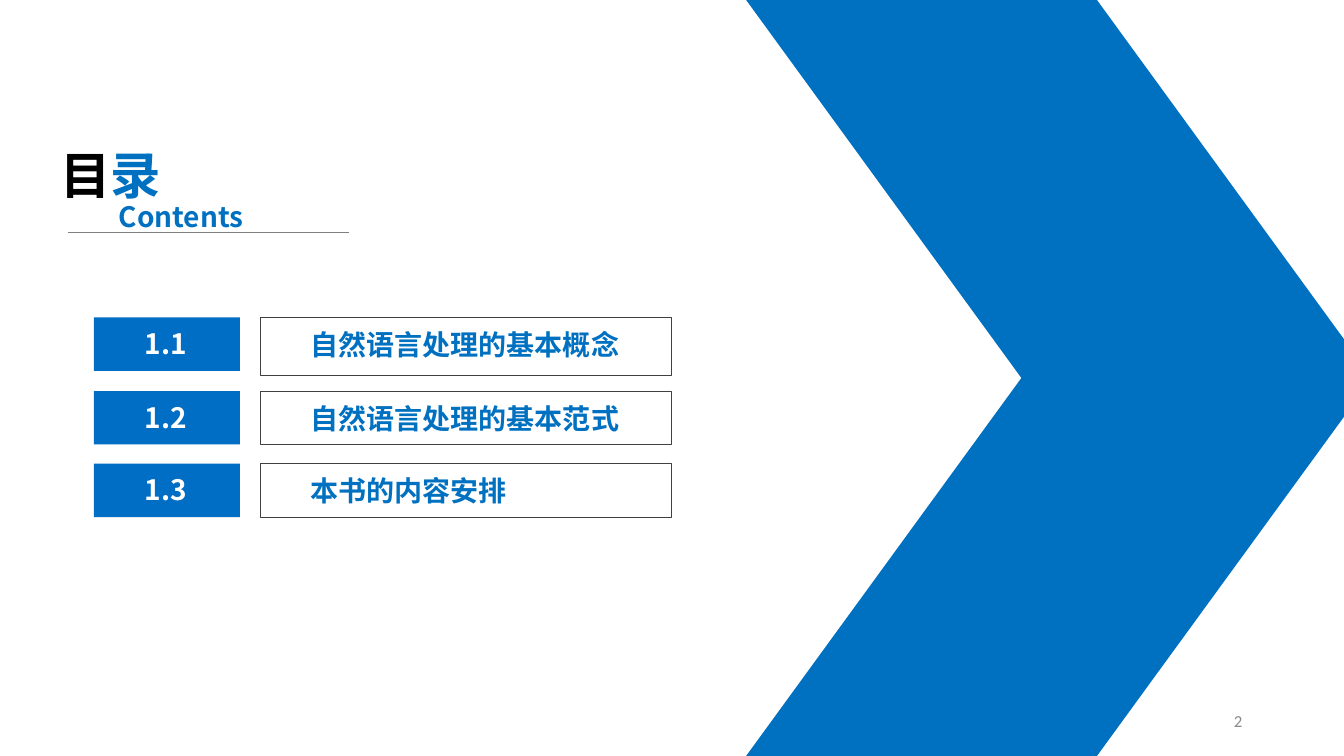
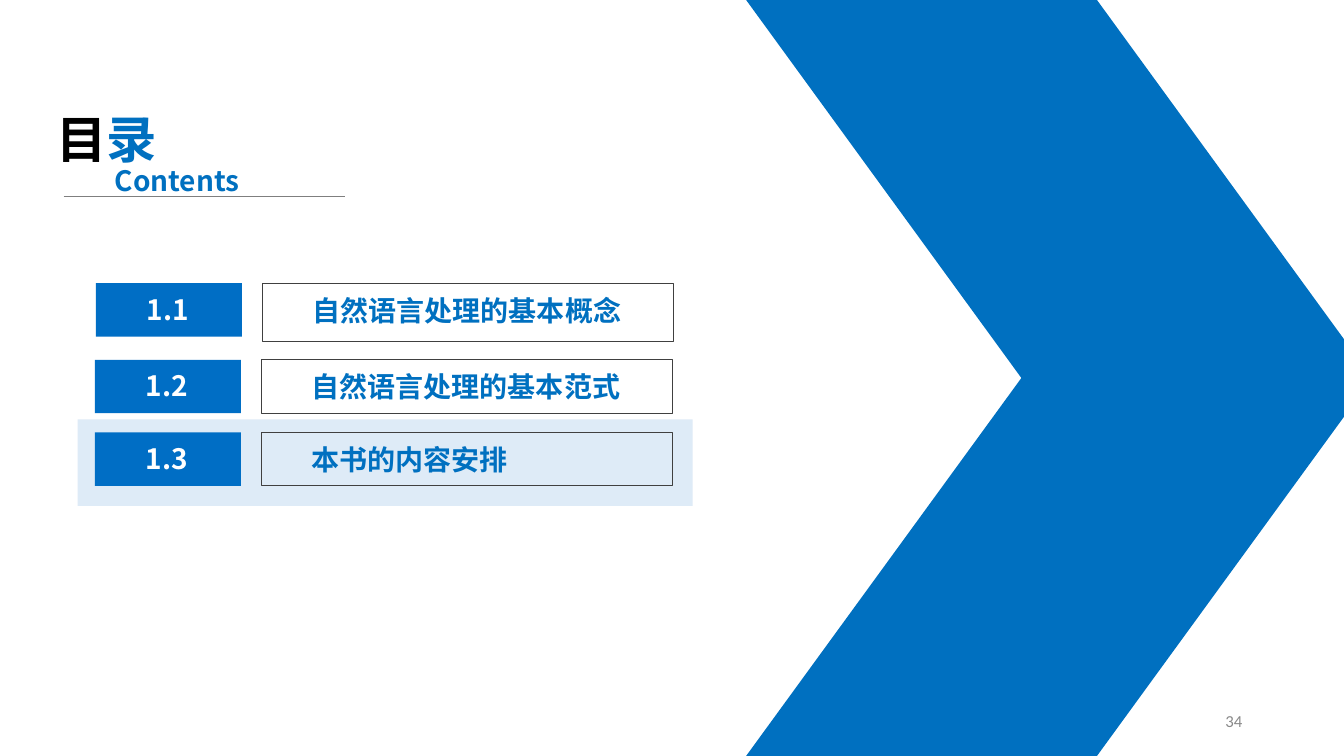
from dataclasses import dataclass
from typing import Any, NamedTuple, Optional

import pptx
import pptx.dml.color
import pptx.enum.shapes
import pptx.enum.text
import pptx.oxml.ns
import pptx.util
from lxml import etree
from pptx.util import Inches

Align = pptx.enum.text.PP_ALIGN
Anchor = pptx.enum.text.MSO_ANCHOR
Preset = pptx.enum.shapes.MSO_SHAPE


# Shared look
@dataclass(frozen=True)
class Theme:
    blue: str = "0070C0"
    tag_blue: str = "006EC5"
    pale_blue: str = "DEEBF7"
    black: str = "000000"
    white: str = "FFFFFF"
    border: str = "404040"
    rule: str = "7F7F7F"
    muted: str = "898989"
    heading_font: str = "Noto Sans CJK SC"
    number_font: str = "Calibri"
    title_size: int = 36
    body_size: int = 20
    number_size: int = 12
    border_width: float = 0.75
    rule_width: float = 0.5


THEME = Theme()


class Box(NamedTuple):
    left: float
    top: float
    width: float
    height: float


class Span(NamedTuple):
    text: str
    color: str
    size: int = THEME.body_size
    font: str = THEME.heading_font
    bold: bool = True


class Row(NamedTuple):
    left: float
    top: float
    label_height: float = 0.53


@dataclass(frozen=True)
class Contents:
    header_left: float
    header_top: float
    rows: tuple[Row, ...]
    number: str
    current: Optional[int] = None


TOPICS = (
    ("1.1", "自然语言处理的基本概念"),
    ("1.2", "自然语言处理的基本范式"),
    ("1.3", "本书的内容安排"),
)

PAGES = (
    Contents(0.5, 1.38, (Row(0.93, 3.15, 0.58), Row(0.93, 3.88), Row(0.93, 4.6)), "2"),
    Contents(0.46, 1.02, (Row(0.95, 2.81, 0.58), Row(0.94, 3.57), Row(0.94, 4.29)), "34",
             current=2),
)


# Drawing helpers
def rgb(color: str) -> pptx.dml.color.RGBColor:
    return pptx.dml.color.RGBColor.from_string(color)


def apply(target: Any, values: dict[str, Any]) -> None:
    for name, value in values.items():
        setattr(target, name, value)


def place(box: Box) -> dict[str, Any]:
    return {name: Inches(value) for name, value in box._asdict().items()}


def write(shape: Any, spans: list[Span], align: Any = Align.LEFT, **frame: Any) -> None:
    apply(shape.text_frame, {"word_wrap": True, "vertical_anchor": Anchor.TOP, **frame})
    para = shape.text_frame.paragraphs[0]
    para.alignment = align
    for span in spans:
        run = para.add_run()
        run.text = span.text
        apply(run.font, {"size": pptx.util.Pt(span.size), "bold": span.bold,
                         "name": span.font})
        run.font.color.rgb = rgb(span.color)
        # East Asian characters take their font from a separate element
        east_asian = etree.SubElement(run.font._element, pptx.oxml.ns.qn("a:ea"))
        east_asian.set("typeface", span.font)


def add_text(page: Any, box: Box, span: Span, **layout: Any) -> None:
    write(page.shapes.add_textbox(**place(box)), [span], **layout)


def add_block(page: Any, box: Box, fill: Optional[str] = None,
              line: Optional[str] = None, preset: Any = Preset.RECTANGLE) -> Any:
    shape = page.shapes.add_shape(preset, **place(box))
    shape.shadow.inherit = False
    if fill:
        shape.fill.solid()
        shape.fill.fore_color.rgb = rgb(fill)
    else:
        shape.fill.background()
    if line:
        shape.line.color.rgb = rgb(line)
        shape.line.width = pptx.util.Pt(THEME.border_width)
    else:
        shape.line.fill.background()
    return shape


# Slide parts
def add_chevron(page: Any) -> None:
    for top, flipped in ((3.75, False), (0, True)):
        half = add_block(page, Box(7.4, top, 6.21, 3.75), THEME.blue,
                         preset=Preset.PARALLELOGRAM)
        half.adjustments[0] = 0.728
        if flipped:
            half._element.spPr.xfrm.set("flipV", "1")


def add_header(page: Any, left: float, top: float) -> None:
    title = page.shapes.title
    apply(title, place(Box(left, top, 1.57, 0.71)))
    write(title, [Span("目", THEME.black, THEME.title_size),
                  Span("录", THEME.blue, THEME.title_size)],
          auto_size=pptx.enum.text.MSO_AUTO_SIZE.NONE)

    start, level = left + 0.17, top + 0.93
    rule = page.shapes.add_connector(
        pptx.enum.shapes.MSO_CONNECTOR.STRAIGHT,
        Inches(start), Inches(level), Inches(start + 2.79), Inches(level))
    rule.line.color.rgb = rgb(THEME.rule)
    rule.line.width = pptx.util.Pt(THEME.rule_width)
    etree.SubElement(rule._element.spPr, pptx.oxml.ns.qn("a:effectLst"))

    add_text(page, Box(left + 0.58, top + 0.55, 1.57, 0.44),
             Span("Contents", THEME.blue))


def add_row(page: Any, row: Row, number: str, topic: str) -> None:
    label = add_block(page, Box(row.left + 1.65, row.top, 4.08, row.label_height),
                      line=THEME.border)
    write(label, [Span(topic, THEME.blue)], margin_left=Inches(0.5),
          margin_top=Inches(0.1), margin_bottom=0)
    tag = add_block(page, Box(row.left, row.top, 1.45, 0.53), THEME.tag_blue)
    write(tag, [Span(number, THEME.white)], align=Align.CENTER,
          margin_right=Inches(0.12), margin_top=Inches(0.09), margin_bottom=0)


def add_contents(deck: Any, contents: Contents) -> None:
    page = deck.slides.add_slide(deck.slide_layouts.get_by_name("Title Only"))
    if contents.current is not None:
        row = contents.rows[contents.current]
        add_block(page, Box(row.left - 0.17, row.top - 0.13, 6.1, 0.86), THEME.pale_blue)
    add_chevron(page)
    for row, (number, topic) in zip(contents.rows, TOPICS):
        add_row(page, row, number, topic)
    add_header(page, contents.header_left, contents.header_top)
    add_text(page, Box(9.42, 6.95, 3, 0.4),
             Span(contents.number, THEME.muted, THEME.number_size,
                  THEME.number_font, False),
             align=Align.RIGHT, vertical_anchor=Anchor.MIDDLE)


def main() -> None:
    deck = pptx.Presentation()
    apply(deck, {"slide_width": Inches(13.33), "slide_height": Inches(7.5)})
    for contents in PAGES:
        add_contents(deck, contents)
    deck.save("out.pptx")


if __name__ == "__main__":
    main()
